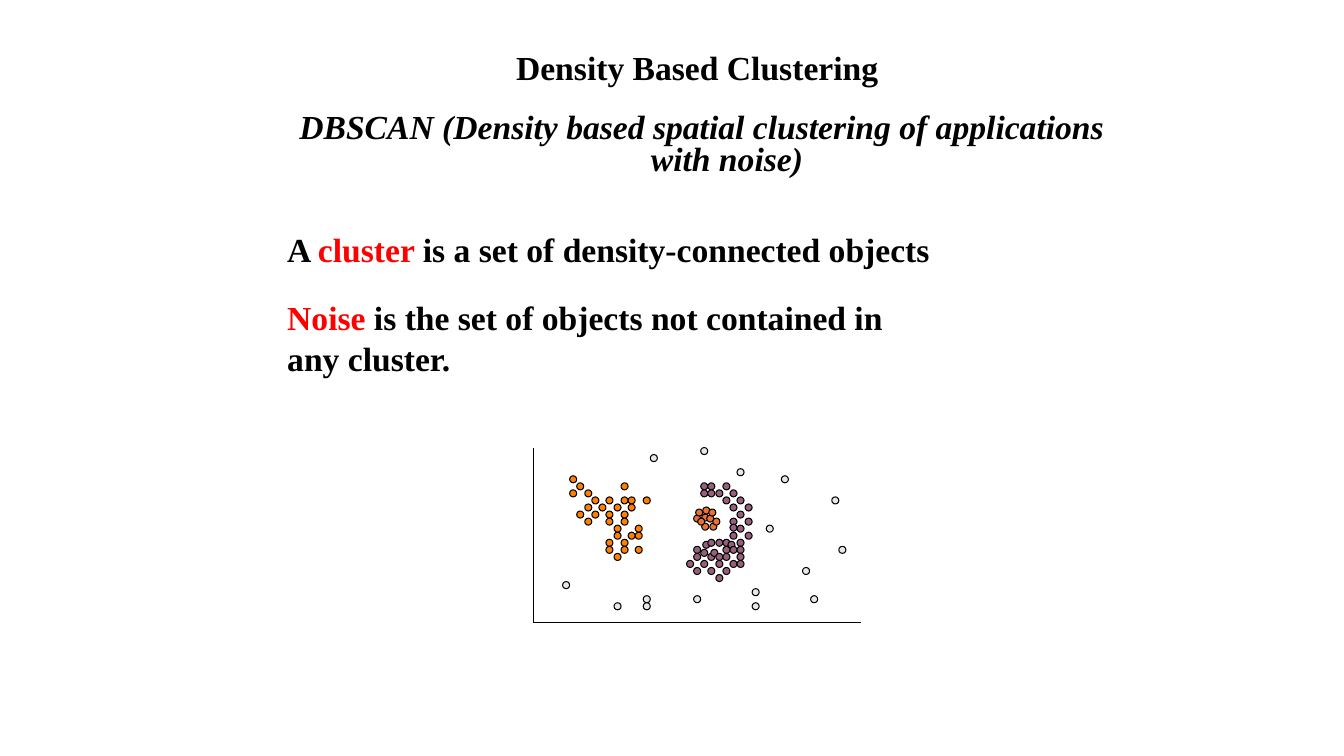
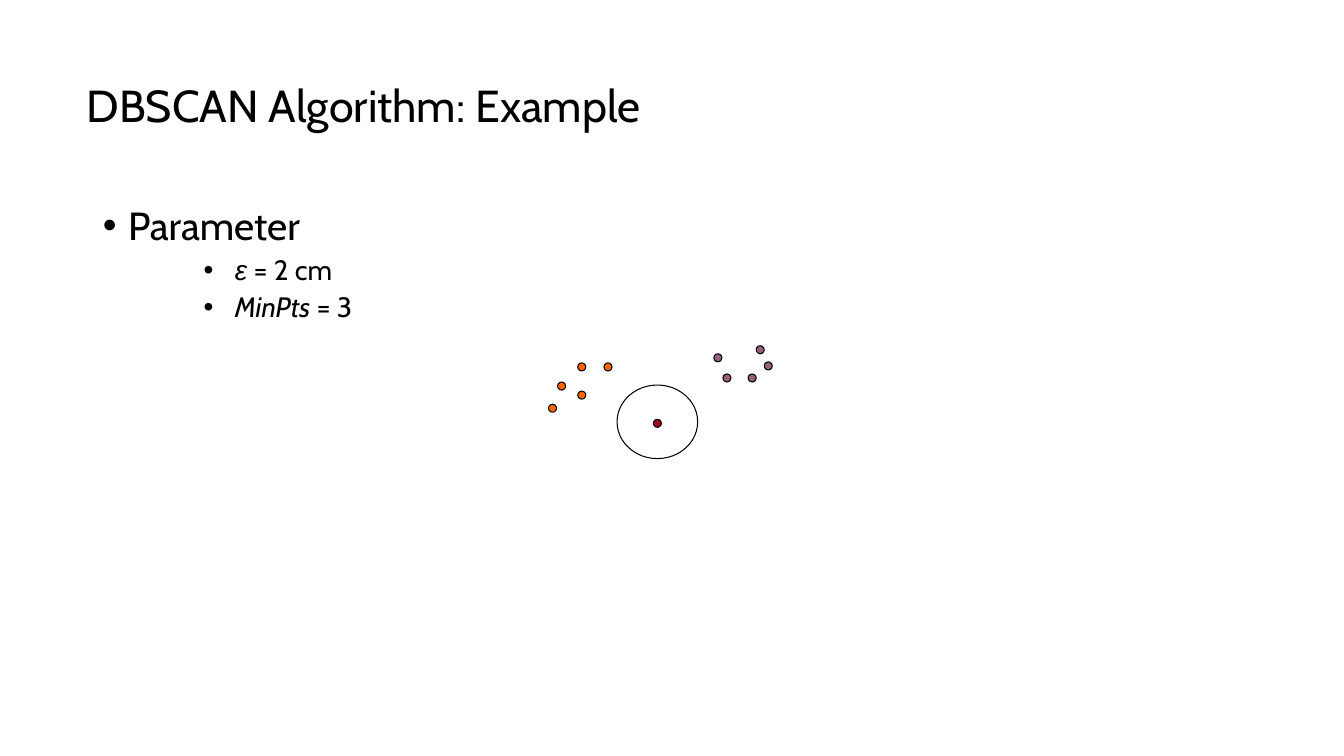
from lxml.etree import SubElement
from pptx import Presentation
from pptx.dml.color import RGBColor
from pptx.enum.shapes import MSO_CONNECTOR, MSO_SHAPE
from pptx.enum.text import MSO_ANCHOR, MSO_AUTO_SIZE, PP_ALIGN
from pptx.oxml.ns import qn
from pptx.util import Pt

PX = 9144  # 100 px to the inch
TITLE_ONLY, TITLE_AND_BODY = 5, 1
SERIF, SANS, GREEK = "Times New Roman", "Cabin", "Arial"
COLORS = {
    "text": "000000",
    "key": "FF0000",
    "orange": "FF8000",
    "purple": "96607D",
    "noise": "E8E8E8",
    "inner": "E97132",
    "left": "FF6600",
    "core": "A50021",
}


def write(box, *runs, at=None, p=None, size=24, font=SERIF, bold=False,
          align=PP_ALIGN.LEFT, line=1.0, before=0, margin=0, indent=0,
          anchor=MSO_ANCHOR.TOP):
    """Fill a paragraph with runs, each a string or (string, font changes)."""
    if at:
        box.left, box.top, box.width, box.height = (v * PX for v in at)
    tf = box.text_frame
    tf.auto_size = MSO_AUTO_SIZE.NONE
    tf.word_wrap = True
    tf.vertical_anchor = anchor
    p = p or tf.paragraphs[0]
    p.alignment, p.line_spacing, p.space_before = align, line, Pt(before)
    pPr = p._p.get_or_add_pPr()
    pPr.set("marL", str(margin * PX))
    pPr.set("indent", str(indent * PX))
    for run in runs:
        text, changes = (run, {}) if isinstance(run, str) else run
        r = p.add_run()
        r.text = text
        r.font.size = Pt(size)
        r.font.name = changes.get("font", font)
        r.font.bold = bold
        r.font.italic = changes.get("italic", False)
        r.font.color.rgb = RGBColor.from_string(COLORS[changes.get("color", "text")])


def add_ellipse(shapes, x, y, w, h, color=None):
    sp = shapes.add_shape(MSO_SHAPE.OVAL, x * PX, y * PX, w * PX, h * PX)
    sp.shadow.inherit = False
    if color:
        sp.fill.solid()
        sp.fill.fore_color.rgb = RGBColor.from_string(COLORS[color])
    else:
        sp.fill.background()
    sp.line.color.rgb = RGBColor.from_string(COLORS["text"])
    sp.line.width = Pt(0.75)


prs = Presentation()
prs.slide_width, prs.slide_height = 1333 * PX, 750 * PX

# Slide 1: definition and scatter plot
s = prs.slides.add_slide(prs.slide_layouts[TITLE_ONLY])
write(s.shapes.title, "Density Based Clustering", at=(250, 42, 883, 50),
      bold=True, align=PP_ALIGN.CENTER)

statements = [
    ((275, 108, 842, 50),
     [("DBSCAN (Density based spatial clustering of applications with noise)",
       {"italic": True})],
     {"align": PP_ALIGN.CENTER, "line": 0.8, "margin": 50, "indent": -50}),
    ((275, 222, 704, 50),
     ["A ", ("cluster ", {"color": "key"}), "is a set of density-connected objects"],
     {}),
    ((275, 290, 638, 91),
     [("Noise", {"color": "key"}), " is the set of objects not contained in any cluster."],
     {}),
]
for at, runs, layout in statements:
    write(s.shapes.add_textbox(0, 0, 0, 0), *runs, at=at, bold=True, **layout)

# Dots of each cluster: left edge of a column -> top edges of its dots
clusters = {
    "orange": {
        565: [472, 486], 572: [479, 507], 580: [486, 500, 514],
        587: [493, 507], 594: [500], 601: [493, 507, 514, 535, 542],
        609: [500, 521, 528, 549], 616: [479, 493, 507, 514, 535, 542],
        623: [493, 500, 528], 630: [521, 528, 542], 638: [493],
    },
    "purple": {
        681: [556], 688: [542, 549, 563], 695: [479, 486, 545, 556],
        697: [537], 702: [479, 486, 535, 549, 563], 705: [545],
        710: [486, 535, 549, 556, 570], 717: [479, 493, 535, 542, 549, 563],
        722: [537], 724: [486, 500, 514, 520, 528, 542, 556],
        731: [493, 507, 521, 535, 542, 549, 556], 739: [500, 514, 528],
    },
    "noise": {
        558: [577], 609: [598], 638: [591, 598], 645: [451], 688: [591],
        695: [444], 731: [465], 746: [584, 598], 760: [521], 775: [472],
        796: [563], 804: [591], 825: [493], 832: [542],
    },
    "inner": {
        696: [510, 519], 688: [511], 704: [519], 701: [511], 692: [514],
        690: [505], 697: [503], 707: [514], 703: [505],
    },
}
plot = s.shapes.add_group_shape().shapes
for color, columns in clusters.items():
    for x, tops in columns.items():
        for y in tops:
            add_ellipse(plot, x, y, 7, 7, color)

for ends in [(529, 444, 529, 618), (529, 618, 854, 618)]:
    axis = plot.add_connector(MSO_CONNECTOR.STRAIGHT, *(v * PX for v in ends))
    axis.line.color.rgb = RGBColor.from_string(COLORS["text"])
    axis.line.width = Pt(0.75)
    SubElement(axis._element.spPr, qn("a:effectLst"))

# Slide 2: worked example
s = prs.slides.add_slide(prs.slide_layouts[TITLE_AND_BODY])
write(s.shapes.title, "DBSCAN Algorithm: Example", at=(76, 28, 892, 158),
      size=32, font=SANS, line=0.9, anchor=MSO_ANCHOR.MIDDLE)

body = s.placeholders[1]
write(body, "Parameter", at=(92, 200, 1150, 476), size=28, font=SANS,
      line=0.9, margin=25, indent=-25)
parameters = [
    (("ε", {"font": GREEK, "italic": True}), " = 2 cm"),
    (("MinPts", {"italic": True}), " = 3"),
]
for runs in parameters:
    p = body.text_frame.add_paragraph()
    p.level = 2
    write(body, *runs, p=p, size=20, font=SANS, line=0.9, before=5,
          margin=131, indent=-31)

points = {
    "left": [(544, 401), (573, 360), (599, 360), (553, 379), (573, 388)],
    "purple": [(717, 371), (708, 351), (742, 371), (758, 359), (750, 343)],
}
for color, corners in points.items():
    for x, y in corners:
        add_ellipse(s.shapes, x, y, 8, 8, color)

neighbourhood = s.shapes.add_group_shape().shapes
add_ellipse(neighbourhood, 612, 382, 80, 73)
add_ellipse(neighbourhood, 648, 416, 8, 8, "core")

prs.save("out.pptx")
